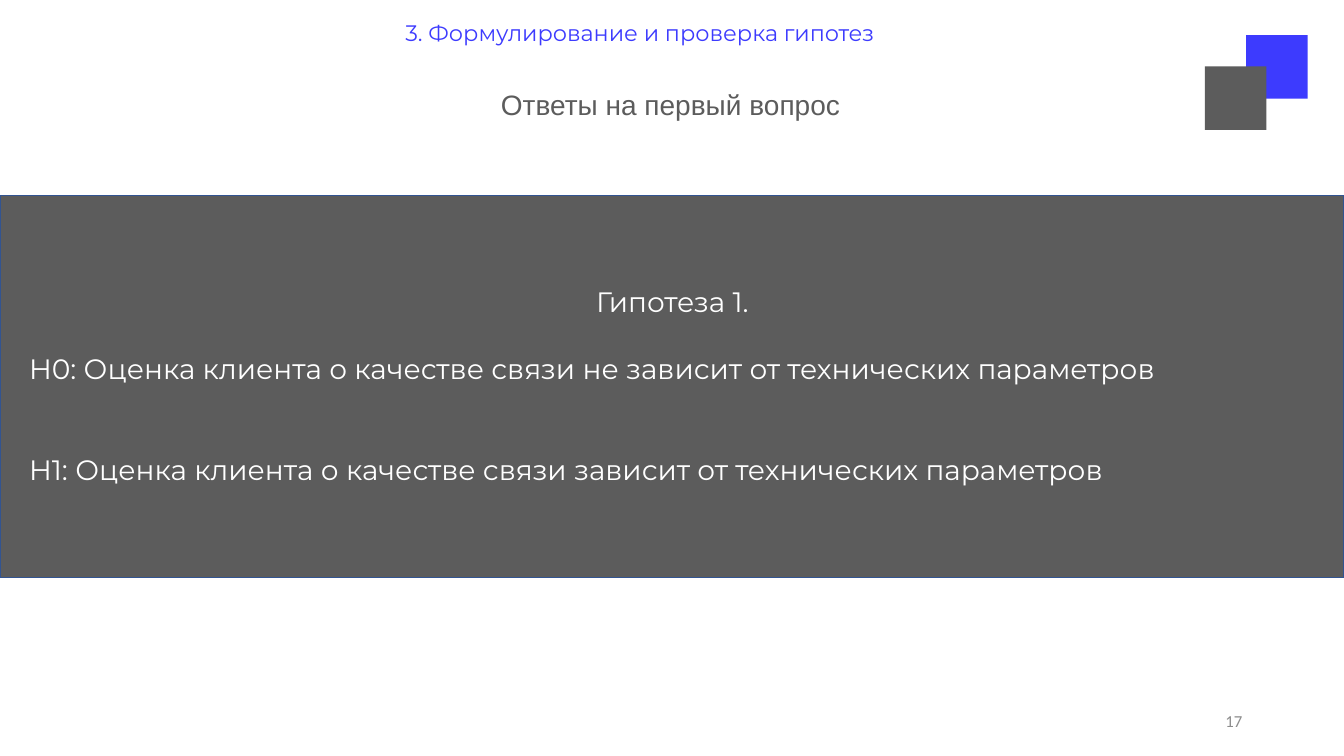
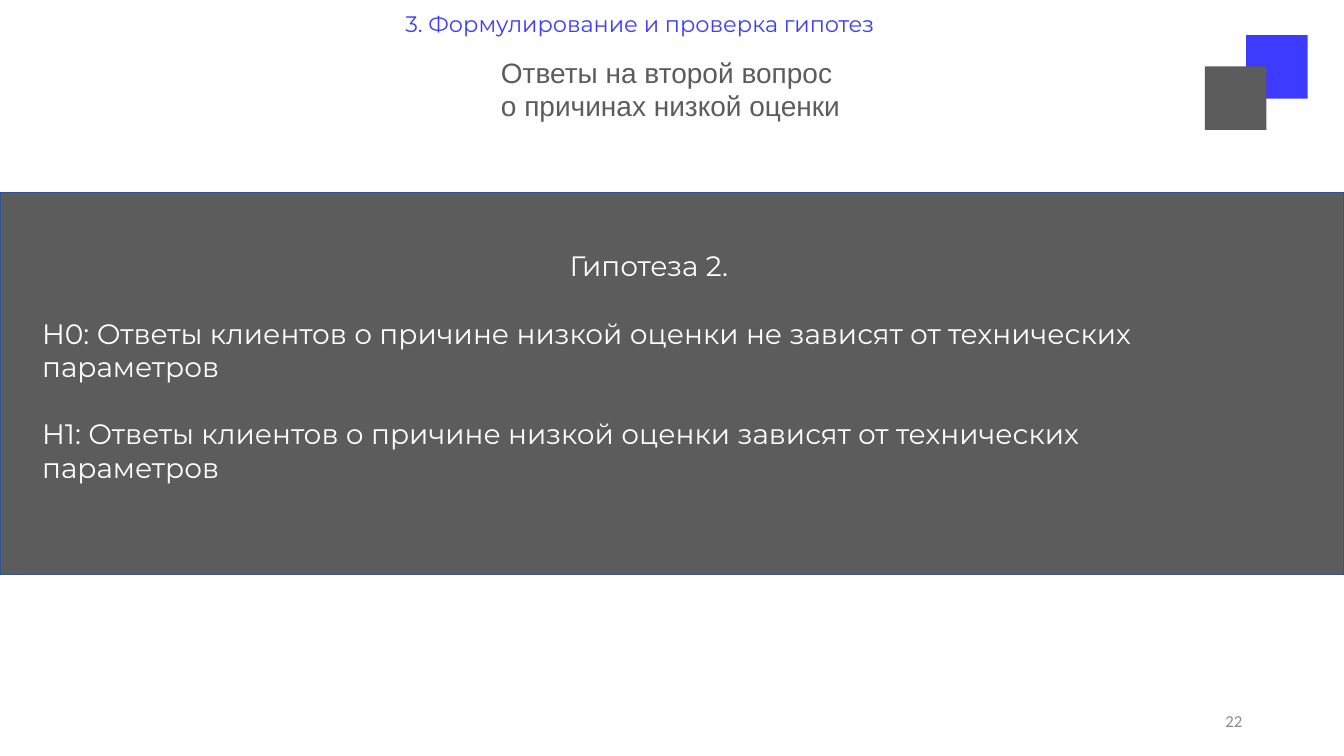
from pptx import Presentation
from pptx.dml.color import RGBColor
from pptx.enum.shapes import MSO_SHAPE
from pptx.enum.text import MSO_ANCHOR, MSO_AUTO_SIZE, PP_ALIGN
from pptx.util import Inches, Pt

COLORS = {
    "blue": "3D3BFE",
    "gray": "5C5C5C",
    "outline": "325491",
    "number": "8C8C8C",
    "white": "FFFFFF",
}
SLIDE_WIDTH, SLIDE_HEIGHT = 13.33, 7.5
SECTION = "3. Формулирование и проверка гипотез"
BODY_FONT = "Montserrat"
TITLE_ONLY = 5


def rgb(name):
    return RGBColor.from_string(COLORS[name])


class Deck:
    """Holds the shared style and the slide being built."""

    def __init__(self):
        self.presentation = Presentation()
        self.presentation.slide_width = Inches(SLIDE_WIDTH)
        self.presentation.slide_height = Inches(SLIDE_HEIGHT)
        self.slide = None

    def start_slide(self, number, title_height):
        layout = self.presentation.slide_layouts[TITLE_ONLY]
        self.slide = self.presentation.slides.add_slide(layout)
        self.title(title_height)
        self.corner_squares()
        self.page_number(number)

    def fill_frame(self, frame, text, font, size, color,
                   align=PP_ALIGN.LEFT, anchor=MSO_ANCHOR.TOP):
        frame.text = text
        frame.word_wrap = True
        frame.auto_size = MSO_AUTO_SIZE.NONE
        frame.vertical_anchor = anchor
        for paragraph in frame.paragraphs:
            paragraph.alignment = align
            for run in paragraph.runs:
                run.font.name = font
                run.font.size = Pt(size)
                run.font.color.rgb = rgb(color)

    def text(self, box, text, font, size, color, **placing):
        frame = self.slide.shapes.add_textbox(*map(Inches, box)).text_frame
        self.fill_frame(frame, text, font, size, color, **placing)
        return frame

    def rectangle(self, box, fill, outline=None):
        shape = self.slide.shapes.add_shape(
            MSO_SHAPE.RECTANGLE, *map(Inches, box))
        shape.shadow.inherit = False
        shape.fill.solid()
        shape.fill.fore_color.rgb = rgb(fill)
        if outline:
            shape.line.color.rgb = rgb(outline)
            shape.line.width = Pt(1)
        else:
            shape.line.fill.background()

    def title(self, height):
        title = self.slide.shapes.title
        title.left, title.top = Inches(3.92), Inches(0.03)
        title.width, title.height = Inches(5.5), Inches(height)
        self.fill_frame(title.text_frame, SECTION, BODY_FONT, 16, "blue",
                        anchor=MSO_ANCHOR.MIDDLE)
        title.text_frame.paragraphs[0].line_spacing = 0.9

    def corner_squares(self):
        for left, top, color in ((12.36, 0.35, "blue"), (11.95, 0.66, "gray")):
            self.rectangle((left, top, 0.61, 0.63), color)

    def page_number(self, number):
        self.text((9.42, 6.95, 3, 0.4), str(number), "Calibri", 12, "number",
                  align=PP_ALIGN.RIGHT, anchor=MSO_ANCHOR.MIDDLE)

    def subtitle(self, top, height, text):
        self.text((4.87, top, 3.6, height), text, "Arial", 20, "gray")

    def band(self, top):
        self.rectangle((0, top, SLIDE_WIDTH, 3.79), "gray", "outline")

    def hypothesis(self, box, heading, null, alternative, alternative_gap):
        """Centred heading over H0 and H1; the gap before H1 is in points."""
        frame = self.text(box, "\n".join((heading, null, alternative)),
                          BODY_FONT, 20, "white")
        heading_line, null_line, alternative_line = frame.paragraphs
        heading_line.alignment = PP_ALIGN.CENTER
        null_line.space_before = Pt(24)
        alternative_line.space_before = Pt(alternative_gap)


def main():
    deck = Deck()

    deck.start_slide(17, title_height=0.63)
    deck.subtitle(0.82, 0.44, "Ответы на первый вопрос")
    deck.band(1.94)
    deck.hypothesis(
        (0.19, 2.77, 12.96, 2.12),
        "Гипотеза 1.",
        "H0: Оценка клиента о качестве связи не зависит от технических параметров",
        "H1: Оценка клиента о качестве связи зависит от технических параметров",
        alternative_gap=48)

    deck.start_slide(22, title_height=0.44)
    deck.subtitle(0.5, 0.77, "Ответы на второй вопрос\nо причинах низкой оценки")
    deck.band(1.91)
    deck.hypothesis(
        (0.32, 2.42, 12.23, 2.46),
        "Гипотеза 2.",
        "H0: Ответы клиентов о причине низкой оценки не зависят от технических параметров",
        "H1: Ответы клиентов о причине низкой оценки зависят от технических параметров",
        alternative_gap=24)

    deck.presentation.save("out.pptx")


if __name__ == "__main__":
    main()
